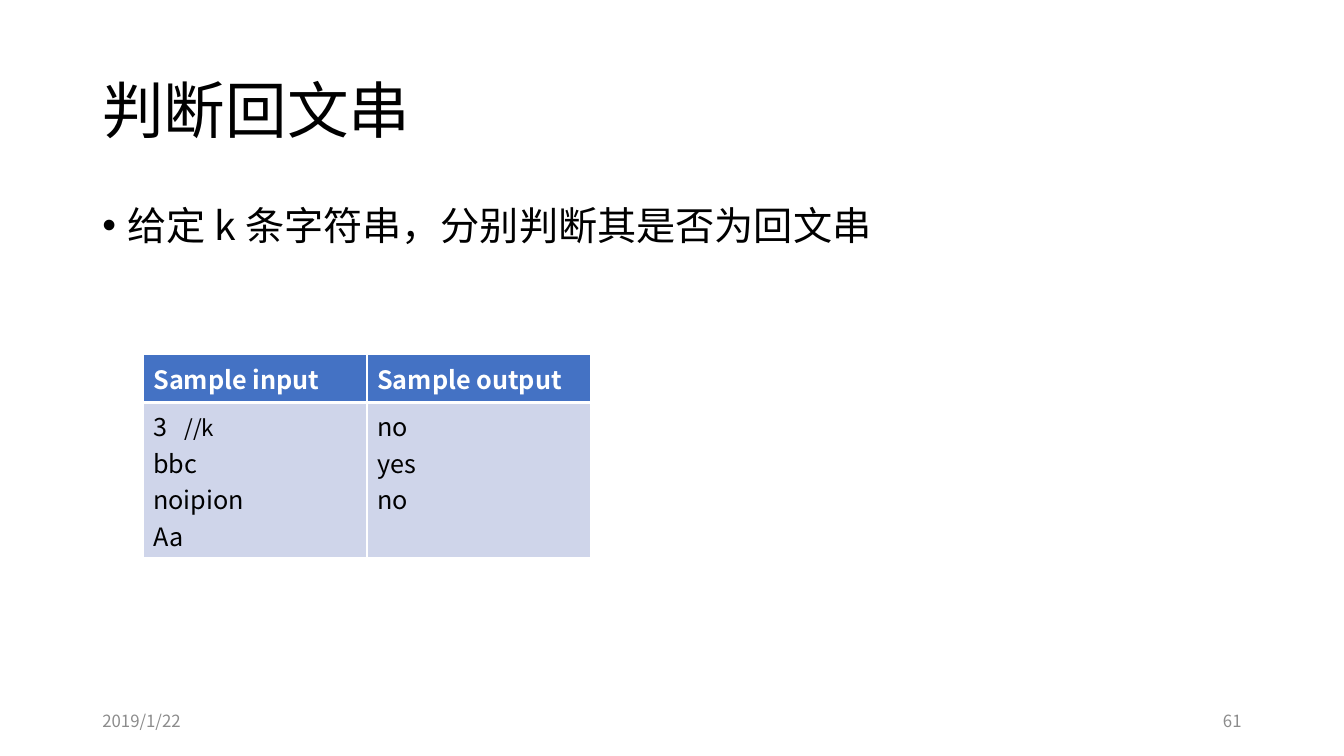
from lxml import etree
from pptx import Presentation
from pptx.dml.color import RGBColor
from pptx.enum.text import MSO_ANCHOR, PP_ALIGN
from pptx.oxml.ns import qn
from pptx.util import Cm, Pt

LEFT, RIGHT = PP_ALIGN.LEFT, PP_ALIGN.RIGHT
TOP, MIDDLE = MSO_ANCHOR.TOP, MSO_ANCHOR.MIDDLE
BLACK, WHITE, GREY = "000000", "FFFFFF", "8C8C8C"
HEADER_BLUE, BODY_BLUE = "4472C4", "CFD5EA"
MARGIN = 2.33


def color(value):
    return RGBColor.from_string(value)


class SlideBuilder:
    def __init__(self, slide, font="Noto Sans CJK SC"):
        self.slide = slide
        self.font = font

    def format_run(self, run, size, text_color, bold=False):
        run.font.size = Pt(size)
        run.font.bold = bold
        run.font.name = self.font
        run.font.color.rgb = color(text_color)
        east_asian = etree.SubElement(run.font._element, qn("a:ea"))
        east_asian.set("typeface", self.font)

    def text(self, text, left, top, width, height, size,
             text_color=BLACK, align=LEFT, anchor=MIDDLE, line_spacing=1.0):
        box = self.slide.shapes.add_textbox(Cm(left), Cm(top), Cm(width), Cm(height))
        frame = box.text_frame
        frame.word_wrap = True
        frame.vertical_anchor = anchor
        frame.text = text
        paragraph = frame.paragraphs[0]
        paragraph.alignment = align
        paragraph.line_spacing = line_spacing
        self.format_run(paragraph.runs[0], size, text_color)
        return paragraph

    def bullet(self, text, *place, size):
        paragraph = self.text(text, *place, size, anchor=TOP, line_spacing=0.9)
        paragraph.space_before = Pt(10)
        properties = paragraph._p.get_or_add_pPr()
        properties.set("marL", str(Cm(0.64)))
        properties.set("indent", str(-Cm(0.64)))
        etree.SubElement(properties, qn("a:buFont")).set("typeface", "Arial")
        etree.SubElement(properties, qn("a:buChar")).set("char", "•")

    def border(self, cell, side, width):
        line = etree.SubElement(cell._tc.get_or_add_tcPr(), qn(f"a:ln{side}"))
        line.set("w", str(Pt(width)))
        fill = etree.SubElement(line, qn("a:solidFill"))
        etree.SubElement(fill, qn("a:srgbClr")).set("val", WHITE)

    def table(self, rows, left, top, column_width, row_heights):
        count = len(rows[0])
        table = self.slide.shapes.add_table(
            len(rows), count, Cm(left), Cm(top),
            Cm(column_width * count), Cm(sum(row_heights))).table
        for column in table.columns:
            column.width = Cm(column_width)
        for index, (row, height) in enumerate(zip(rows, row_heights)):
            table.rows[index].height = Cm(height)
            header = index == 0
            for cell, text in zip(table.rows[index].cells, row):
                # The header is set off by a thicker rule
                widths = {"L": 1, "R": 1, "T": 1 if header else 3, "B": 3 if header else 1}
                for side, width in widths.items():
                    self.border(cell, side, width)
                cell.fill.solid()
                cell.fill.fore_color.rgb = color(HEADER_BLUE if header else BODY_BLUE)
                cell.text = text
                for paragraph in cell.text_frame.paragraphs:
                    for run in paragraph.runs:
                        self.format_run(run, 18, WHITE if header else BLACK, header)
        return table

    def side_note(self, paragraph, text, size, position):
        """Add a smaller note after the paragraph, at a tab stop."""
        run = paragraph.add_run()
        run.text = "\t" + text
        self.format_run(run, size, BLACK)
        tabs = etree.SubElement(paragraph._p.get_or_add_pPr(), qn("a:tabLst"))
        tab = etree.SubElement(tabs, qn("a:tab"))
        tab.set("pos", str(Cm(position)))
        tab.set("algn", "l")


def main():
    presentation = Presentation()
    presentation.slide_width, presentation.slide_height = Cm(33.87), Cm(19.05)
    slide = presentation.slides.add_slide(presentation.slide_layouts[6])
    builder = SlideBuilder(slide)

    # Title and task
    builder.text("判断回文串", MARGIN, 1.01, 29.21, 3.68, 44, line_spacing=0.9)
    builder.bullet("给定 k 条字符串，分别判断其是否为回文串",
                   MARGIN, 5.07, 29.21, 12.09, size=28)

    # Sample data
    samples = [["Sample input", "Sample output"],
               ["3\nbbc\nnoipion\nAa", "no\nyes\nno"]]
    table = builder.table(samples, 3.61, 8.94, 5.64, [1.2, 3.92])
    builder.side_note(table.cell(1, 0).text_frame.paragraphs[0], "//k", 16, 0.78)

    # Footer
    builder.text("2019/1/22", MARGIN, 17.66, 7.62, 1.01, 12, GREY)
    builder.text("61", 23.92, 17.66, 7.62, 1.01, 12, GREY, RIGHT)

    presentation.save("out.pptx")


if __name__ == "__main__":
    main()
